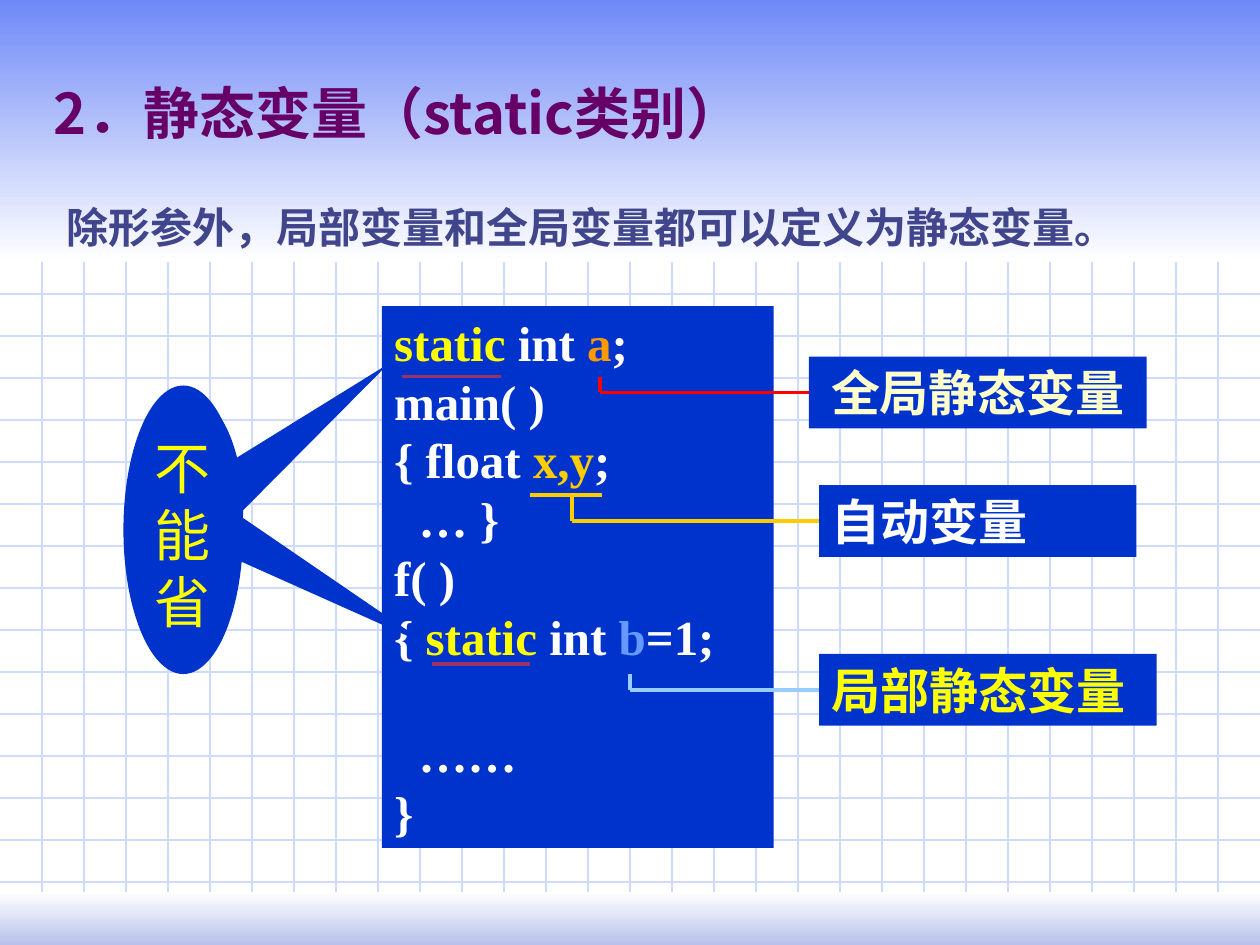
from dataclasses import dataclass

from lxml import etree
from pptx import Presentation
from pptx.dml.color import RGBColor
from pptx.enum.shapes import MSO_CONNECTOR as Connector, MSO_SHAPE as Shape
from pptx.enum.text import MSO_ANCHOR as Anchor, PP_ALIGN as Align
from pptx.oxml.ns import qn
from pptx.util import Inches, Pt

SANS, SERIF = "Noto Sans CJK SC", "Times New Roman"
BLUE, WHITE, YELLOW, GOLD = "0033CC", "FFFFFF", "FFFF00", "FFCC00"
GRID_STEP = 1 / 3
GRID_TOP, GRID_BOTTOM = 2.08, 7.08


@dataclass
class Box:
    left: float
    top: float
    width: float
    height: float

    def lengths(self) -> list:
        return [Inches(v) for v in (self.left, self.top, self.width, self.height)]


@dataclass
class Label:
    text: str
    box: Box
    color: str
    align: Align
    line_color: str
    drop_x: float
    drop_top: float


@dataclass
class Callout:
    ellipse: Box
    tip_x: float
    tip_y: float


LABELS = [
    Label("全局静态变量", Box(6.42, 2.83, 2.68, 0.57), "FFFFCC", Align.CENTER, "FF0000", 4.76, 2.99),
    Label("局部静态变量", Box(6.5, 5.19, 2.68, 0.57), YELLOW, Align.LEFT, "99CCFF", 5, 5.35),
    Label("自动变量", Box(6.5, 3.85, 2.52, 0.57), WHITE, Align.LEFT, GOLD, 4.54, 3.93),
]
CALLOUTS = [
    Callout(Box(1.06, 3.14, 0.87, 1.81), 3.42, 5.13),
    Callout(Box(0.98, 3.06, 0.95, 2.29), 3.08, 2.89),
]
CODE = [
    [("static", YELLOW), (" int ", WHITE), ("a", "FF9900"), (";", WHITE)],
    [("main( )", WHITE)],
    [("{ float ", WHITE), ("x,y", GOLD), (";", WHITE)],
    [("  … }", WHITE)],
    [("f( )", WHITE)],
    [("{ ", WHITE), ("static", YELLOW), (" int ", WHITE), ("b", "6699FF"), ("=1;", WHITE)],
    [("  ……", WHITE)],
    [("}", WHITE)],
]
GAP_BEFORE_LINE = {6: 33.5}
UNDERLINES = [
    (3.19, 2.99, 3.98, "993366"),
    (3.43, 5.27, 4.21, "993366"),
    (4.21, 3.93, 4.78, GOLD),
]


def rgb(value: str) -> RGBColor:
    return RGBColor.from_string(value)


def add_line(slide, x1: float, y1: float, x2: float, y2: float, color: str, width: float = 2):
    line = slide.shapes.add_connector(Connector.STRAIGHT, *map(Inches, (x1, y1, x2, y2)))
    line.line.color.rgb = rgb(color)
    line.line.width = Pt(width)
    etree.SubElement(line._element.spPr, qn("a:effectLst"))
    return line


def add_plain_shape(slide, kind: Shape, box: Box):
    shape = slide.shapes.add_shape(kind, *box.lengths())
    shape.shadow.inherit = False
    shape.line.fill.background()
    shape.fill.solid()
    shape.fill.fore_color.rgb = rgb(BLUE)
    return shape


def add_gradient_band(slide, box: Box, top_color: str, bottom_color: str) -> None:
    fill = add_plain_shape(slide, Shape.RECTANGLE, box).fill
    fill.gradient()
    fill.gradient_angle = 270
    for stop, color in zip(fill.gradient_stops, (top_color, bottom_color)):
        stop.color.rgb = rgb(color)


def write_text(shape, lines: list, size: float, east_asian: str = SANS, latin: str = SERIF,
               bold: bool = True, align: Align = Align.LEFT, anchor: Anchor = Anchor.TOP,
               margin: float = 0.1) -> None:
    """Write lines of (text, color) runs into the shape."""
    frame = shape.text_frame
    side, edge = Inches(margin), Inches(margin / 2)
    frame_format = {"word_wrap": True, "vertical_anchor": anchor, "margin_left": side,
                    "margin_right": side, "margin_top": edge, "margin_bottom": edge}
    for name, value in frame_format.items():
        setattr(frame, name, value)
    for index, runs in enumerate(lines):
        paragraph = frame.paragraphs[0] if index == 0 else frame.add_paragraph()
        paragraph.alignment = align
        for text, color in runs:
            run = paragraph.add_run()
            run.text = text
            for name, value in {"name": latin, "size": Pt(size), "bold": bold}.items():
                setattr(run.font, name, value)
            run.font.color.rgb = rgb(color)
            etree.SubElement(run._r.get_or_add_rPr(), qn("a:ea"), typeface=east_asian)


def add_background(slide) -> None:
    for step in range(1, 30):
        position = step * GRID_STEP
        add_line(slide, position, GRID_TOP, position, GRID_BOTTOM, "CFDBFD", 0.75)
        if GRID_TOP < position < GRID_BOTTOM:
            add_line(slide, 0, position, 10, position, "CFDBFD", 0.75)
    add_gradient_band(slide, Box(0, 0, 10, GRID_TOP), "6F89F7", WHITE)
    add_gradient_band(slide, Box(0, GRID_BOTTOM, 10, 0.42), WHITE, "B7C1EB")


def add_code_box(slide) -> None:
    code_box = add_plain_shape(slide, Shape.RECTANGLE, Box(3.03, 2.43, 3.11, 4.3))
    write_text(code_box, CODE, 28, east_asian=SERIF)
    for index, points in GAP_BEFORE_LINE.items():
        code_box.text_frame.paragraphs[index].space_before = Pt(points)


def add_label(slide, label: Label) -> None:
    """Add a label and the bent leader that joins it to the code."""
    shape = add_plain_shape(slide, Shape.RECTANGLE, label.box)
    write_text(shape, [[(label.text, label.color)]], 28, latin=SANS, align=label.align)
    middle = label.box.top + label.box.height / 2
    add_line(slide, label.drop_x, label.drop_top, label.drop_x, middle, label.line_color)
    leader = add_line(slide, label.drop_x, middle, label.box.left, middle, label.line_color)
    leader.end_connect(shape, 1)


def add_callout(slide, callout: Callout) -> None:
    box = callout.ellipse
    shape = add_plain_shape(slide, Shape.OVAL_CALLOUT, box)
    shape.adjustments[0] = (callout.tip_x - box.left) / box.width - 0.5
    shape.adjustments[1] = (callout.tip_y - box.top) / box.height - 0.5


def main() -> None:
    presentation = Presentation()
    presentation.slide_width, presentation.slide_height = Inches(10), Inches(7.5)
    slide = presentation.slides.add_slide(presentation.slide_layouts[6])
    add_background(slide)

    title = slide.shapes.add_textbox(*Box(0.33, 0.61, 9, 0.6).lengths())
    write_text(title, [[("2．静态变量（static类别）", "660066")]], 32, latin=SANS, anchor=Anchor.BOTTOM)
    body = slide.shapes.add_textbox(*Box(0.43, 1.55, 9, 1.1).lengths())
    write_text(body, [[("除形参外，局部变量和全局变量都可以定义为静态变量。", "40458C")]], 24)

    add_code_box(slide)
    for label in LABELS:
        add_label(slide, label)
    for callout in CALLOUTS:
        add_callout(slide, callout)
    warning = add_plain_shape(slide, Shape.RECTANGLE, Box(1.19, 3.44, 0.52, 1.54))
    write_text(warning, [[("不能省", YELLOW)]], 32, bold=False, align=Align.CENTER, margin=0)
    for left, y, right, color in UNDERLINES:
        add_line(slide, left, y, right, y, color)

    presentation.save("out.pptx")


if __name__ == "__main__":
    main()
